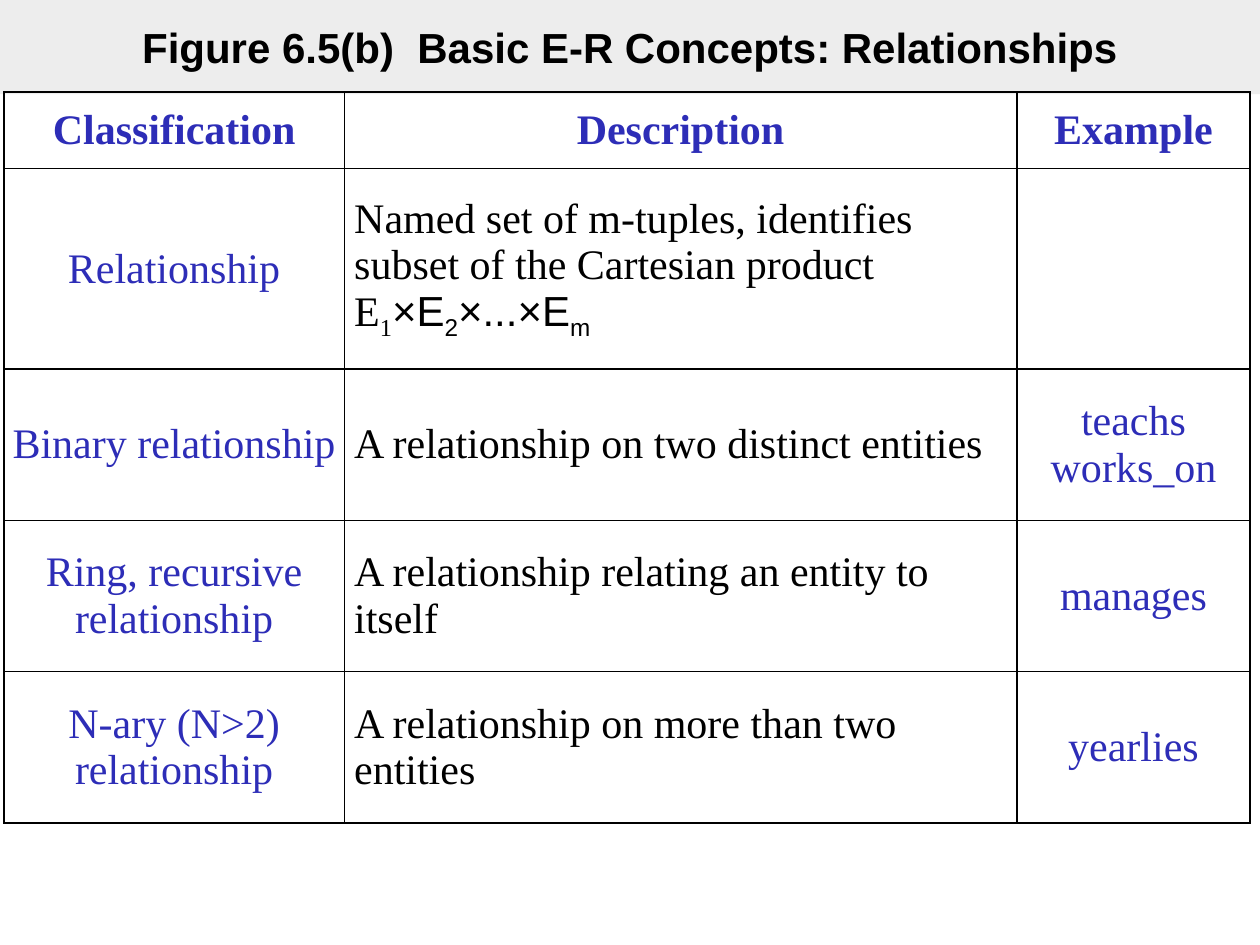
from pptx import Presentation
from pptx.dml.color import RGBColor as Rgb
from pptx.enum.shapes import MSO_SHAPE as Shape
from pptx.enum.text import MSO_ANCHOR as Anchor, PP_ALIGN as Align
from pptx.oxml import parse_xml
from pptx.oxml.ns import nsdecls
from pptx.util import Cm, Pt

HUES = {"ink": "000000", "blue": "2D2DB7", "band": "DDDDDD"}
SERIF, SANS = "Times New Roman", "Arial"
COLS = [6.86, 13.56, 4.7]
HIGHS = [1.55, 4.04, 3.05, 3.05, 3.05]
ROWS = [
    ["Classification", "Description", "Example"],
    ["Relationship", "Named set of m-tuples, identifies subset of the Cartesian product E", ""],
    ["Binary relationship", "A relationship on two distinct entities", "teachs\nworks_on"],
    ["Ring, recursive relationship", "A relationship relating an entity to itself", "manages"],
    ["N-ary (N>2)\nrelationship", "A relationship on more than two entities", "yearlies"],
]
TERMS = [("1", SERIF, True), ("×E", SANS, False), ("2", SANS, True),
         ("×...×E", SANS, False), ("m", SANS, True)]


class Deck:
    def __init__(self, slide, size=24):
        self.slide = slide
        self.size = size

    def style(self, run, face, hue, bold=False):
        font = run.font
        font.name, font.size, font.bold = face, Pt(self.size), bold
        font.color.rgb = Rgb.from_string(HUES[hue])

    def label(self, frame, text, face, hue, align, bold=False):
        frame.text = text
        for para in frame.paragraphs:
            para.alignment = align
            for run in para.runs:
                self.style(run, face, hue, bold)

    def title(self, text, x, y, w, h):
        box = self.slide.shapes.add_shape(Shape.RECTANGLE, Cm(x), Cm(y), Cm(w), Cm(h))
        box.shadow.inherit = False
        box.line.fill.background()
        box.fill.solid()
        box.fill.fore_color.rgb = Rgb.from_string(HUES["band"])
        tint = box.fill._xPr.find(".//{*}srgbClr")
        tint.append(parse_xml(f'<a:alpha {nsdecls("a")} val="50000"/>'))
        frame = box.text_frame
        frame.word_wrap = True
        frame.vertical_anchor = Anchor.MIDDLE
        self.label(frame, text, SANS, "ink", Align.CENTER, True)

    def border(self, cell):
        props = cell._tc.get_or_add_tcPr()
        for side in "LRTB":
            props.append(parse_xml(
                f'<a:ln{side} {nsdecls("a")} w="12700"><a:solidFill>'
                f'<a:srgbClr val="{HUES["ink"]}"/></a:solidFill></a:ln{side}>'))

    def cell(self, cell, text, row, col):
        self.border(cell)
        cell.fill.background()
        cell.vertical_anchor = Anchor.MIDDLE
        pad = 0 if row == 0 or col == 0 else 0.2
        cell.margin_left = cell.margin_right = Cm(pad)
        cell.margin_top = cell.margin_bottom = Cm(0.13)
        prose = row > 0 and col == 1
        self.label(cell.text_frame, text, SERIF, "ink" if prose else "blue",
                   Align.LEFT if prose else Align.CENTER, row == 0)

    def table(self, x, y, cols, highs, rows):
        grid = self.slide.shapes.add_table(
            len(highs), len(cols), Cm(x), Cm(y), Cm(sum(cols)), Cm(sum(highs))).table
        for col, wide in zip(grid.columns, cols):
            col.width = Cm(wide)
        for row, high in zip(grid.rows, highs):
            row.height = Cm(high)
        for r, row in enumerate(rows):
            for c, text in enumerate(row):
                self.cell(grid.cell(r, c), text, r, c)
        return grid

    def terms(self, para, terms):
        for text, face, low in terms:
            run = para.add_run()
            run.text = text
            self.style(run, face, "ink")
            if low:
                run.font._rPr.set("baseline", "-25000")


def main():
    show = Presentation()
    show.slide_width, show.slide_height = Cm(25.4), Cm(19.05)
    deck = Deck(show.slides.add_slide(show.slide_layouts[6]))
    deck.title("Figure 6.5(b)  Basic E-R Concepts: Relationships", 0, 0, 25.4, 1.9)
    grid = deck.table(0.08, 1.85, COLS, HIGHS, ROWS)
    deck.terms(grid.cell(1, 1).text_frame.paragraphs[0], TERMS)
    show.save("out.pptx")


if __name__ == "__main__":
    main()
